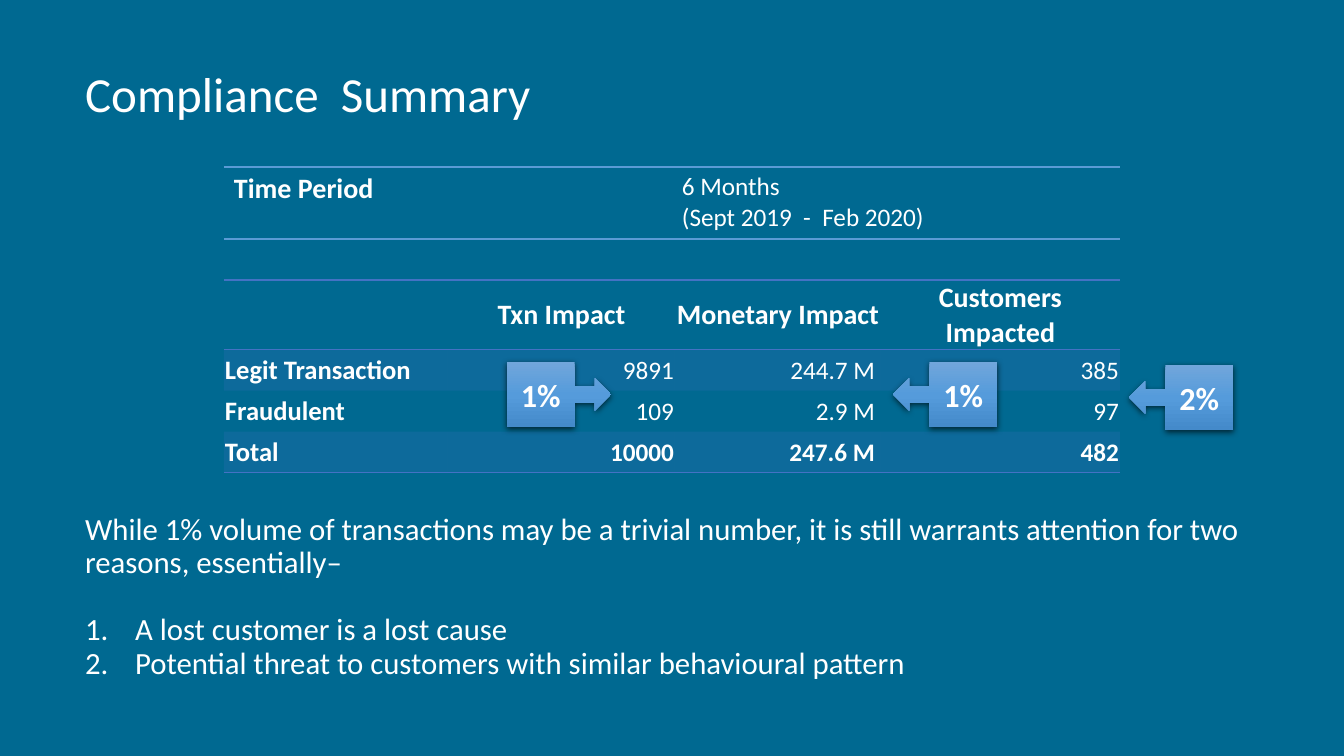
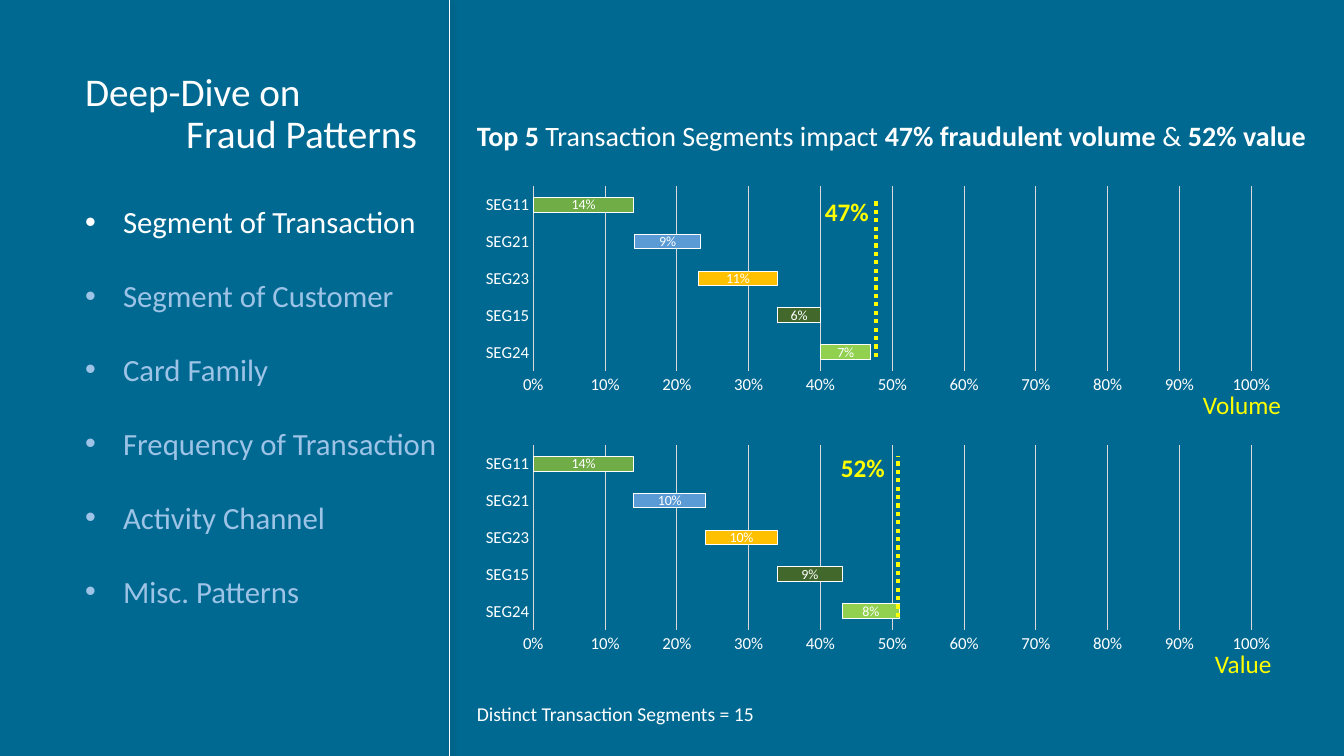
from copy import deepcopy
from dataclasses import dataclass

from lxml import etree
from pptx import Presentation
from pptx.chart.data import CategoryChartData
from pptx.dml.color import RGBColor
from pptx.enum.chart import XL_CHART_TYPE, XL_TICK_MARK
from pptx.enum.dml import MSO_LINE
from pptx.enum.shapes import MSO_CONNECTOR, MSO_SHAPE
from pptx.enum.text import MSO_ANCHOR, MSO_AUTO_SIZE, PP_ALIGN
from pptx.oxml.ns import qn
from pptx.util import Emu, Pt

LEFT, CENTER, RIGHT = PP_ALIGN.LEFT, PP_ALIGN.CENTER, PP_ALIGN.RIGHT
TOP, MIDDLE = MSO_ANCHOR.TOP, MSO_ANCHOR.MIDDLE
ARROW_RIGHT = MSO_SHAPE.RIGHT_ARROW_CALLOUT
ARROW_LEFT = MSO_SHAPE.LEFT_ARROW_CALLOUT
STACKED_100 = XL_CHART_TYPE.BAR_STACKED_100
NO_TICK = XL_TICK_MARK.NONE
STRAIGHT = MSO_CONNECTOR.STRAIGHT
DOTTED = MSO_LINE.ROUND_DOT
NO_AUTOFIT = MSO_AUTO_SIZE.NONE
PLAIN_TABLE = "{2D5ABB26-0587-4C30-8999-92F81FD0307C}"
SLIDE_W, SLIDE_H = 1344, 756


def px(length):
    return Emu(round(length * 12192000 / SLIDE_W))


@dataclass(frozen=True)
class Theme:
    font: str = "Calibri"
    background: str = "006991"
    text: str = "FFFFFF"
    muted: str = "9DC3E6"
    accent: str = "FFFF00"
    shadow: str = "000000"
    period_rule: str = "5B9BD5"
    impact_rule: str = "4472C4"
    grid: str = "D9D9D9"
    callout: tuple = ("71A6DB", "559BDB", "448ACA")
    segments: tuple = ("70AD47", "5B9BD5", "FFC000", "43682B", "92D050")
    title: int = 35
    side_title: int = 28
    body: int = 22
    heading: int = 20
    row_label: int = 19
    value: int = 18
    callout_size: int = 23
    note: int = 14
    axis: int = 12
    data_label: int = 10


THEME = Theme()


@dataclass(frozen=True)
class Run:
    text: str
    size: int
    bold: bool = False
    color: str = THEME.text


@dataclass(frozen=True)
class Cell:
    paragraphs: list
    align: PP_ALIGN = LEFT
    anchor: MSO_ANCHOR = MIDDLE
    margins: tuple = (1, 1, 1, 0)
    shaded: bool = False
    rules: tuple = ()


def rgb(color):
    return RGBColor.from_string(color)


class Deck:
    def __init__(self, theme):
        self.theme = theme
        self.prs = Presentation()
        self.prs.slide_width, self.prs.slide_height = px(SLIDE_W), px(SLIDE_H)
        backdrop = self.prs.slide_master.background.fill
        backdrop.solid()
        backdrop.fore_color.rgb = rgb(theme.background)
        self.slide = None

    def add_slide(self):
        self.slide = self.prs.slides.add_slide(self.prs.slide_layouts[1])

    def style_font(self, font, size, color, bold=False):
        font.name, font.size, font.bold = self.theme.font, Pt(size), bold
        font.color.rgb = rgb(color)

    def add_text(self, frame, paragraphs, align=LEFT, spacing=None):
        added = []
        for index, runs in enumerate(paragraphs):
            paragraph = frame.add_paragraph() if index else frame.paragraphs[0]
            paragraph.alignment = align
            paragraph.space_before = Pt(0)
            if spacing:
                paragraph.line_spacing = spacing
            for run in runs:
                piece = paragraph.add_run()
                piece.text = run.text
                self.style_font(piece.font, run.size, run.color, run.bold)
            added.append(paragraph)
        return added

    def indent(self, paragraph, left, hanging=0, bullet=None, **kind):
        props = paragraph._p.get_or_add_pPr()
        props.set("marL", str(px(left)))
        props.set("indent", str(-px(hanging)))
        etree.SubElement(props, qn(f"a:{bullet or 'buNone'}"), **kind)

    def place(self, holder, box, paragraphs, spacing):
        holder.left, holder.top, holder.width, holder.height = map(px, box)
        holder.text_frame.auto_size = NO_AUTOFIT
        return self.add_text(holder.text_frame, paragraphs, spacing=spacing)

    def title(self, box, paragraphs):
        return self.place(self.slide.shapes.title, box, paragraphs, 0.9)

    def body(self, box, paragraphs, spacing):
        return self.place(self.slide.placeholders[1], box, paragraphs, spacing)

    def text(self, box, runs):
        frame = self.slide.shapes.add_textbox(*map(px, box)).text_frame
        frame.word_wrap = True
        self.add_text(frame, [runs])

    def effects(self, shape, alpha=0, blur=0, distance=0, angle=0):
        effects = etree.SubElement(shape.element.spPr, qn("a:effectLst"))
        if alpha:
            shadow = etree.SubElement(
                effects, qn("a:outerShdw"), blurRad=str(Pt(blur)),
                dist=str(Pt(distance)), dir=str(angle * 60000), rotWithShape="0")
            shade = etree.SubElement(shadow, qn("a:srgbClr"), val=self.theme.shadow)
            etree.SubElement(shade, qn("a:alpha"), val=str(alpha * 1000))

    def line(self, start, end, color, width, dash=None, **shadow):
        line = self.slide.shapes.add_connector(STRAIGHT, *map(px, start + end))
        line.line.color.rgb = rgb(color)
        line.line.width = Pt(width)
        if dash:
            line.line.dash_style = dash
        self.effects(line, **shadow)

    def callout(self, preset, left, top, label):
        shape = self.slide.shapes.add_shape(preset, *map(px, (left, top, 104, 65)))
        shape.fill.gradient()
        shape.fill.gradient_angle = 270
        stop_list = shape.element.xpath(".//a:gsLst")[0]
        stop_list.insert(1, deepcopy(stop_list[0]))
        for index, stop in enumerate(shape.fill.gradient_stops):
            stop.position = index / 2
            stop.color.rgb = rgb(self.theme.callout[index])
        shape.line.fill.background()
        self.effects(shape, alpha=63, blur=4.5, distance=1.5, angle=90)
        shape.text_frame.vertical_anchor = MIDDLE
        self.add_text(shape.text_frame, [[Run(label, self.theme.callout_size, True)]], CENTER)

    def table(self, left, top, widths, heights, rows, rule_color):
        frame = self.slide.shapes.add_table(
            len(rows), len(widths), *map(px, (left, top, sum(widths), sum(heights))))
        frame.element.xpath(".//a:tableStyleId")[0].text = PLAIN_TABLE
        table = frame.table
        table.first_row = table.horz_banding = False
        for column, width in zip(table.columns, widths):
            column.width = px(width)
        for row, height in zip(table.rows, heights):
            row.height = px(height)
        for r, row in enumerate(rows):
            for c, content in enumerate(row):
                self.fill_cell(table.cell(r, c), content, rule_color)

    def fill_cell(self, cell, content, rule_color):
        (cell.margin_left, cell.margin_right,
         cell.margin_top, cell.margin_bottom) = map(px, content.margins)
        cell.vertical_anchor = content.anchor
        self.add_text(cell.text_frame, content.paragraphs, content.align)
        props = cell._tc.get_or_add_tcPr()
        if content.shaded:
            cell.fill.solid()
            cell.fill.fore_color.rgb = rgb(self.theme.impact_rule)
            etree.SubElement(props.xpath(".//a:srgbClr")[0], qn("a:alpha"), val="20000")
        else:
            cell.fill.background()
        for index, side in enumerate(content.rules):
            rule = etree.Element(qn(f"a:{side}"), w=str(Pt(1)))
            paint = etree.SubElement(rule, qn("a:solidFill"))
            etree.SubElement(paint, qn("a:srgbClr"), val=rule_color)
            props.insert(index, rule)

    def waterfall(self, box, segments, shares, remainders):
        theme = self.theme
        last = len(segments) - 1
        data = CategoryChartData(number_format="0%")
        data.categories = segments[::-1]
        for step in range(len(shares) + 1):
            values = [shares[step] if step <= row
                      else remainders[row] if step == row + 1 else None
                      for row in range(len(segments))]
            data.add_series(f"Series {step + 1}", values[::-1])
        chart = self.slide.shapes.add_chart(STACKED_100, *map(px, box), data).chart
        chart.has_legend = chart.has_title = False
        self.style_font(chart.font, theme.data_label, theme.text)
        plot = chart.plots[0]
        plot.gap_width, plot.overlap, plot.vary_by_categories = 150, 100, False
        for step, series in enumerate(plot.series):
            series.format.fill.background()
            series.format.line.fill.background()
            if step > last:
                continue
            series.data_labels.show_value = False
            point = series.points[last - step]
            point.format.fill.solid()
            point.format.fill.fore_color.rgb = rgb(theme.segments[step])
            point.format.line.color.rgb = rgb(theme.text)
            point.format.line.width = Pt(0.75)
            self.style_font(point.data_label.font, theme.data_label, theme.text)
        for axis in (chart.category_axis, chart.value_axis):
            axis.major_tick_mark = axis.minor_tick_mark = NO_TICK
            self.style_font(axis.tick_labels.font, theme.axis, theme.text)
        chart.value_axis.tick_labels.number_format = "0%"
        chart.value_axis.tick_labels.number_format_is_linked = False
        chart.value_axis.format.line.fill.background()
        for rule in (chart.category_axis.format.line,
                     chart.value_axis.major_gridlines.format.line):
            rule.color.rgb = rgb(theme.grid)
            rule.width = Pt(0.75)
        self.fix_plot_area(chart.element.xpath(".//c:plotArea")[0])

    def fix_plot_area(self, area):
        for old in area.xpath("./c:layout"):
            area.remove(old)
        layout = etree.Element(qn("c:layout"))
        manual = etree.SubElement(layout, qn("c:manualLayout"))
        for tag, value in (("layoutTarget", "inner"), ("xMode", "edge"), ("yMode", "edge"),
                           ("x", "0.08"), ("y", "0.02"), ("w", "0.88"), ("h", "0.85")):
            etree.SubElement(manual, qn(f"c:{tag}"), val=value)
        area.insert(0, layout)


def compliance_summary(deck):
    t = deck.theme
    deck.add_slide()
    deck.title((75, 68, 948, 58), [[Run("Compliance  Summary", t.title)]])

    edges = ("lnT", "lnB")
    inset = dict(anchor=TOP, margins=(10, 10, 5, 5), rules=edges)
    period = [Cell([[Run("Time Period", t.heading, True)]], **inset),
              Cell([[Run("6 Months", t.value)],
                    [Run("(Sept 2019  -  Feb 2020)", t.value)]], **inset)]
    deck.table(224, 167, (448, 448), (72,), [period], t.period_rule)

    headings = ([], ["Txn Impact"], ["Monetary Impact"], ["Customers", "Impacted"])
    rows = [[Cell([[Run(line, t.heading, True)] for line in lines], CENTER, rules=edges)
             for lines in headings]]
    impact = (("Legit Transaction", "9891", "244.7 M", "385"),
              ("Fraudulent", "109", "2.9 M", "97"),
              ("Total", "10000", "247.6 M", "482"))
    for index, (label, *figures) in enumerate(impact):
        total = label == "Total"
        look = dict(shaded=index % 2 == 0, rules=("lnB",) if total else ())
        row = [Cell([[Run(label, t.row_label, True)]], **look)]
        for figure in figures:
            margins = (1, 6 if figure.endswith("M") else 1, 1, 0)
            row.append(Cell([[Run(figure, t.value, total)]], RIGHT, margins=margins, **look))
        rows.append(row)
    deck.table(224, 280, (224, 227, 206, 239), (69, 41, 41, 41), rows, t.impact_rule)

    for preset, left, top, label in ((ARROW_RIGHT, 507, 362, "1%"),
                                     (ARROW_LEFT, 893, 362, "1%"),
                                     (ARROW_LEFT, 1129, 365, "2%")):
        deck.callout(preset, left, top, label)

    lines = ("While 1% volume of transactions may be a trivial number, it is still "
             "warrants attention for two reasons, essentially–",
             "A lost customer is a lost cause",
             "Potential threat to customers with similar behavioural pattern")
    intro, *reasons = deck.body((75, 509, 1190, 224), [[Run(line, t.body)] for line in lines], 0.9)
    reasons[0].space_before = Pt(24)
    deck.indent(intro, 0)
    for reason in reasons:
        deck.indent(reason, 50, 50, "buAutoNum", type="arabicPeriod")


def fraud_patterns(deck):
    t = deck.theme
    deck.add_slide()
    heading = deck.title((75, 68, 355, 94), [[Run("Deep-Dive on", t.side_title)],
                                             [Run("Fraud Patterns", t.side_title)]])
    deck.indent(heading[1], 101)

    topics = ("Segment of Transaction", "Segment of Customer", "Card Family",
              "Frequency of Transaction", "Activity Channel", "Misc. Patterns")
    items = [[Run(topic, t.body, color=t.muted if index else t.text)]
             for index, topic in enumerate(topics)]
    for item in deck.body((75, 161, 415, 489), items, 2.0):
        deck.indent(item, 38, 38, "buChar", char="•")
    deck.line((449, 0), (449, SLIDE_H), t.text, 0.5, alpha=40, blur=4, distance=3, angle=45)

    headline = (("Top 5 ", True), ("Transaction Segments impact ", False),
                ("47% fraudulent volume ", True), ("& ", False), ("52% value", True))
    deck.text((467, 114, 877, 75), [Run(words, t.heading, bold) for words, bold in headline])

    segments = ("SEG11", "SEG21", "SEG23", "SEG15", "SEG24")
    panels = (
        (182, (0.14, 0.09, 0.11, 0.06, 0.07), (0.86, 0.76, 0.66, 0.6, 0.53),
         (876, 357, 201), ("47%", 815, 191), ("Volume", 1193, 384)),
        (441, (0.14, 0.1, 0.1, 0.09, 0.08), (0.86, 0.76, 0.66, 0.57, 0.49),
         (898, 617, 456), ("52%", 831, 447), ("Value", 1205, 643)))
    for top, shares, remainders, (x, bottom, peak), total, measure in panels:
        deck.waterfall((468, top, 816, 217), segments, shares, remainders)
        deck.line((x, bottom), (x, peak), t.accent, 3, DOTTED)
        for (words, left, label_top), width, bold in ((total, 78, True), (measure, 115, False)):
            deck.text((left, label_top, width, 40), [Run(words, t.value, bold, t.accent)])
    deck.text((467, 697, 306, 34), [Run("Distinct Transaction Segments = 15", t.note)])


def main():
    deck = Deck(THEME)
    compliance_summary(deck)
    fraud_patterns(deck)
    deck.prs.save("out.pptx")


if __name__ == "__main__":
    main()
